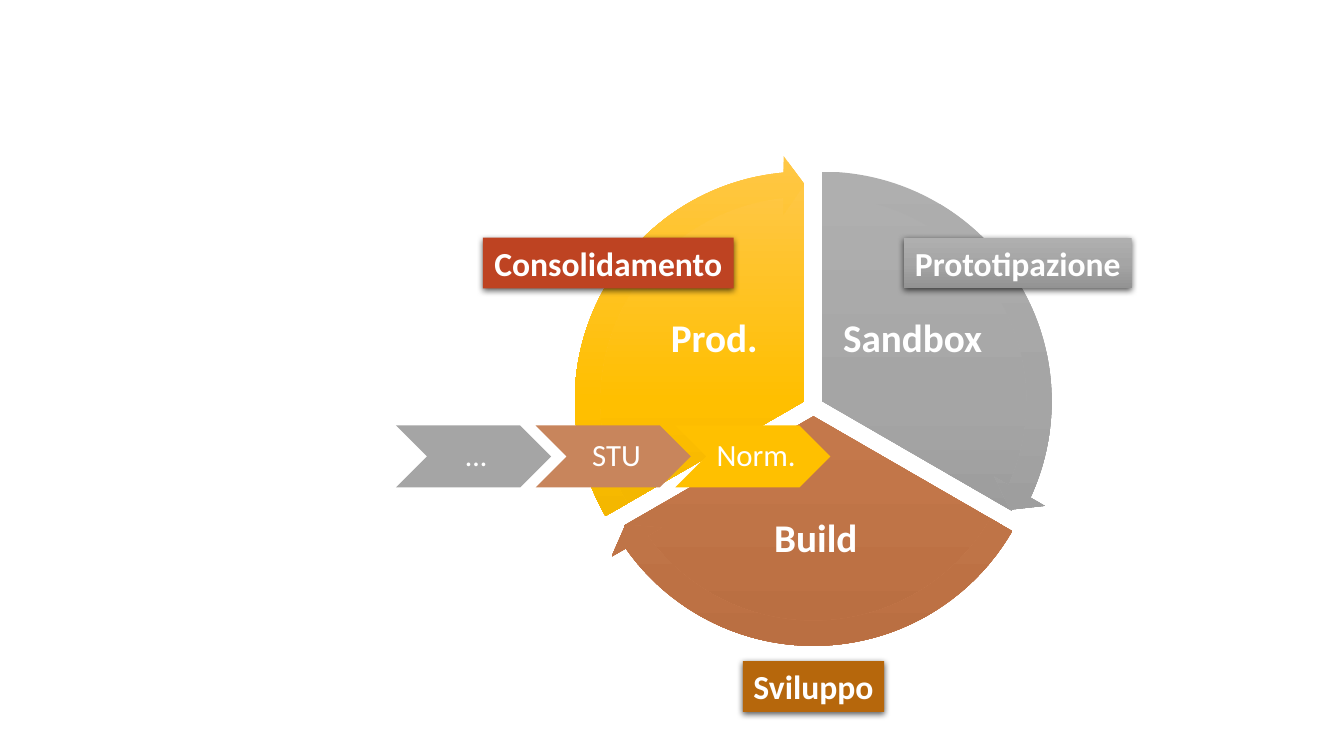
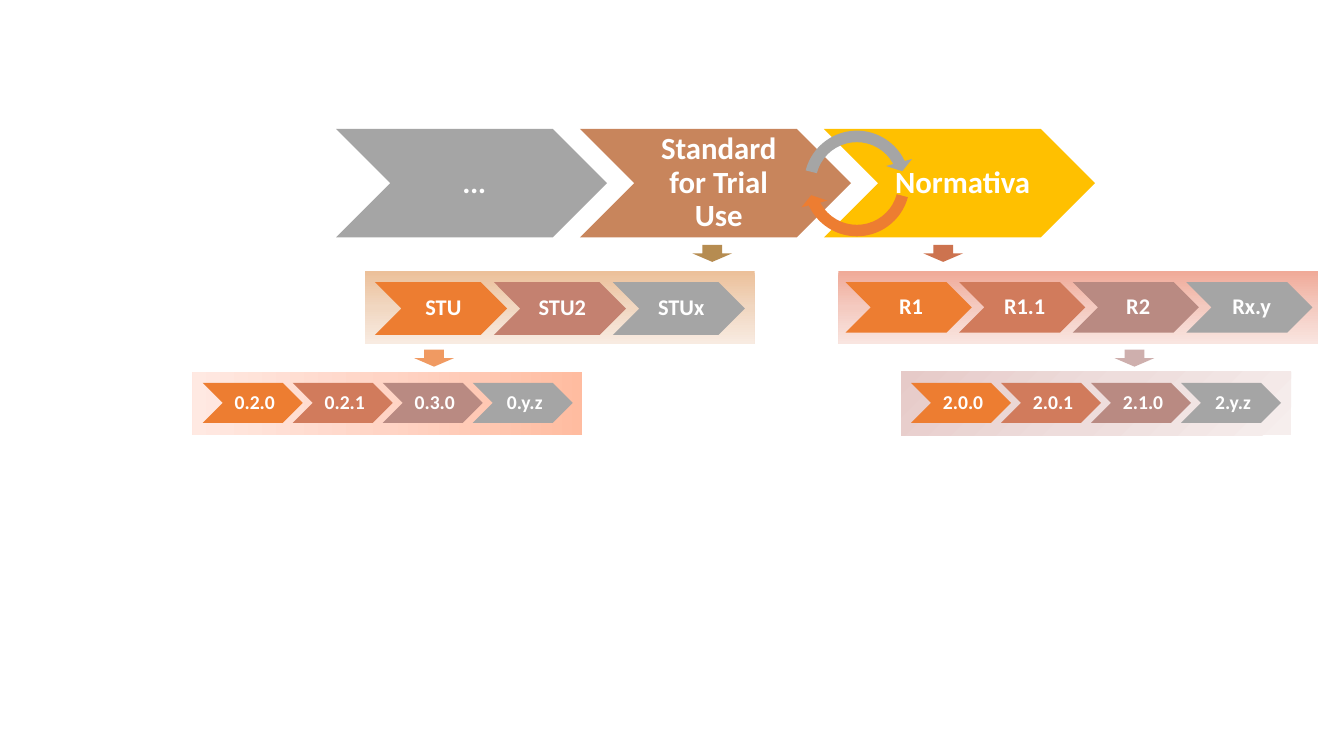
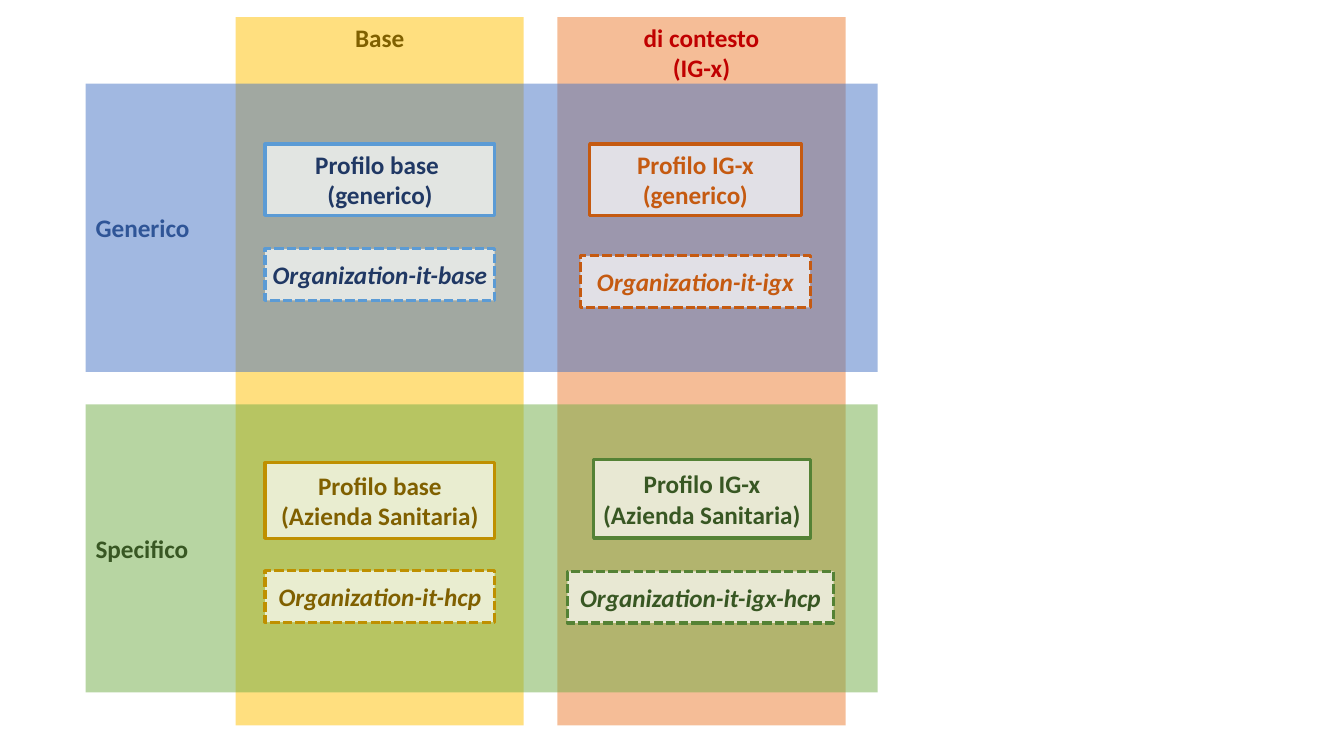
import pptx
import pptx.dml.color
import pptx.enum.dml
import pptx.enum.shapes
import pptx.enum.text
import pptx.oxml
import pptx.oxml.ns
import pptx.util

Cm = pptx.util.Cm
SHAPE = pptx.enum.shapes.MSO_SHAPE
ANCHOR = pptx.enum.text.MSO_ANCHOR
ALIGN = pptx.enum.text.PP_ALIGN

COLOURS = {
    "white": "FFFFFF", "grey": "A5A5A5", "copper": "C8855C", "gold": "FFC000",
    "orange": "ED7D31", "coral": "D17B5C", "rose": "C48170", "mauve": "B98A82",
    "brown": "B6670C", "brick": "BE4322", "blue": "4472C4", "green": "70AD47",
    "sky": "5B9BD5", "navy": "203864", "royal": "2F5597", "red": "C00000",
    "ochre": "BF9000", "olive": "806000", "leaf": "548235", "forest": "385723",
    "rust": "C55A11", "bronze": "B68C51", "terracotta": "CD734F",
    "apricot": "F09A62", "blush": "CEAFAD",
}
GREY_FADE = ("AFAFAF", "A5A5A5", "939393")
COPPER_FADE = ("CF8558", "C4784B", "BA6F42")
GOLD_FADE = ("FFC746", "FFBF00", "E5AC00")
DOWNWARD = '<a:lin ang="5400000" scaled="0"/>'
LEFTWARD = '<a:lin ang="10800000" scaled="0"/>'
FROM_CORNER = '<a:path path="circle"><a:fillToRect r="100000" b="100000"/></a:path>'


def element(xml):
    """Parse one drawing element whose tag lacks the namespace declaration."""
    tag, rest = xml.split(">", 1)
    return pptx.oxml.parse_xml(f'{tag} {pptx.oxml.ns.nsdecls("a")}>{rest}')


class Painter:
    """Holds the deck, the shared style and the current slide."""

    font_name = "Calibri"

    def __init__(self):
        self.deck = pptx.Presentation()
        self.deck.slide_width, self.deck.slide_height = Cm(33.87), Cm(19.05)
        self.page = None

    def new_page(self):
        self.page = self.deck.slides.add_slide(self.deck.slide_layouts[6])

    def colour(self, name):
        return pptx.dml.color.RGBColor.from_string(COLOURS[name])

    def shape(self, kind, place, fill, opacity=None, adjust=()):
        """Add a borderless, shadowless shape in a plain colour."""
        shape = self.page.shapes.add_shape(kind, *map(Cm, place))
        shape.shadow.inherit = False
        shape.line.fill.background()
        for index, value in enumerate(adjust):
            shape.adjustments[index] = value
        shape.fill.solid()
        shape.fill.fore_color.rgb = self.colour(fill)
        if opacity:
            solid = shape.element.spPr.find(pptx.oxml.ns.qn("a:solidFill"))
            solid[0].append(element(f'<a:alpha val="{opacity * 1000}"></a:alpha>'))
        return shape

    def faded(self, kind, place, fade, direction=DOWNWARD, adjust=()):
        """Add a shape with a three-stop gradient."""
        shape = self.shape(kind, place, "white", adjust=adjust)
        stops = "".join(f'<a:gs pos="{index * 50000}"><a:srgbClr val="{value}"/></a:gs>'
                        for index, value in enumerate(fade))
        properties = shape.element.spPr
        properties.replace(
            properties.find(pptx.oxml.ns.qn("a:solidFill")),
            element(f'<a:gradFill><a:gsLst>{stops}</a:gsLst>{direction}</a:gradFill>'))
        return shape

    def put_text(self, box, text, size, colour="white", bold=True, italic=False,
                 align=ALIGN.CENTER, spacing=None, **frame_format):
        frame = box.text_frame
        frame_format = {"word_wrap": True, "vertical_anchor": ANCHOR.MIDDLE, **frame_format}
        for name, value in frame_format.items():
            setattr(frame, name, value)
        font_format = {"name": self.font_name, "size": pptx.util.Pt(size),
                       "bold": bold, "italic": italic}
        for index, line in enumerate(text.split("\n")):
            para = frame.add_paragraph() if index else frame.paragraphs[0]
            para.alignment = align
            if spacing:
                para.line_spacing = spacing
            span = para.add_run()
            span.text = line
            for name, value in font_format.items():
                setattr(span.font, name, value)
            span.font.color.rgb = self.colour(colour)

    def label(self, text, place):
        box = self.page.shapes.add_textbox(*map(Cm, place))
        margins = {f"margin_{side}": Cm(0.1) for side in ("left", "top", "right", "bottom")}
        self.put_text(box, text, 28, spacing=0.9, **margins)

    def tag(self, box, text):
        """Turn a shape into a caption with a soft shadow below."""
        effects = box.element.spPr.find(pptx.oxml.ns.qn("a:effectLst"))
        effects.append(element(
            '<a:outerShdw blurRad="57150" dist="19050" dir="5400000" algn="ctr" rotWithShape="0">'
            '<a:srgbClr val="000000"><a:alpha val="63000"/></a:srgbClr></a:outerShdw>'))
        self.put_text(box, text, 24, word_wrap=False, vertical_anchor=ANCHOR.TOP)

    def chevrons(self, left, top, width, size, steps, bold=True):
        """Add a row of chevrons, each overlapping the last by a tenth."""
        margins = {f"margin_{side}": Cm(size / 270) for side in ("top", "right", "bottom")}
        margins["margin_left"] = Cm(size / 90)
        for index, (text, fill) in enumerate(steps):
            place = (left + index * width * 0.9, top, width, width * 0.4)
            chevron = self.shape(SHAPE.CHEVRON, place, fill)
            self.put_text(chevron, text, size, bold=bold, italic=text == "…",
                          spacing=0.9, **margins)

    def outlined(self, text, place, line, colour, dashed=False):
        box = self.shape(SHAPE.RECTANGLE, place, "white", 70)
        box.line.color.rgb = self.colour(line)
        box.line.width = pptx.util.Pt(2.25)
        if dashed:
            box.line.dash_style = pptx.enum.dml.MSO_LINE.SQUARE_DOT
        self.put_text(box, text, 18, colour, italic=dashed, word_wrap=False)


def cycle_page(painter):
    painter.new_page()
    sectors = [
        ("Sandbox", (15.21, 4.6), (162, 18), GREY_FADE,
         (21.03, 6.93, 3.94, 3.28), (14.725, 161.994)),
        ("Build", (14.99, 4.98), (18, 90), COPPER_FADE,
         (17.6, 12.14, 5.92, 2.9), (86.72, 18.005)),
        ("Prod.", (14.76, 4.6), (90, 162), GOLD_FADE,
         (16.03, 6.93, 3.94, 3.28), (158.73, 90)),
    ]
    for text, corner, angles, fade, text_place, _ in sectors:
        painter.faded(SHAPE.PIE, (*corner, 11.02, 11.02), fade, adjust=angles)
        painter.label(text, text_place)
    for _, (left, top), _, fade, _, (end, start) in sectors:
        painter.faded(SHAPE.CIRCULAR_ARROW, (left - 0.69, top - 0.69, 12.4, 12.4), fade,
                      adjust=(0.051, 3.275, end, start, 0.059))

    painter.tag(painter.faded(SHAPE.RECTANGLE, (22.78, 5.99, 5.74, 1.28), GREY_FADE),
                "Prototipazione")
    for text, place, fill in [("Sviluppo", (18.72, 16.66, 3.56, 1.28), "brown"),
                              ("Consolidamento", (12.17, 5.99, 6.32, 1.28), "brick")]:
        painter.tag(painter.shape(SHAPE.RECTANGLE, place, fill), text)
    painter.chevrons(9.98, 10.72, 3.91, 22,
                     [("…", "grey"), ("STU", "copper"), ("Norm.", "gold")], bold=False)


def versions_page(painter):
    painter.new_page()
    painter.chevrons(8.47, 3.25, 6.83, 22, [
        ("…", "grey"), ("Standard for Trial Use", "copper"), ("Normativa", "gold")])
    for fill, end, start in [("orange", 92.521, 9.035), ("grey", 200.119, 116.633)]:
        painter.shape(SHAPE.CIRCULAR_ARROW, (20.07, 3.1, 3.05, 3.05), fill,
                      adjust=(0.095, 6.846, end, start, 0.111))

    four = ("orange", "coral", "mauve", "grey")
    three = ("orange", "rose", "grey")
    panels = [
        ((21.13, 6.83, 12.09, 1.83), ("F0AA98", "F4CAC0", "F9E5E0"), DOWNWARD,
         (21.31, 7.11, 3.18, 16), ("R1", "R1.1", "R2", "Rx.y"), four),
        ((4.85, 9.37, 9.83, 1.6), ("FFBCA0", "FFD4C5", "FFE9E2"), LEFTWARD,
         (5.11, 9.65, 2.52, 14), ("0.2.0", "0.2.1", "0.3.0", "0.y.z"), four),
        ((9.19, 6.83, 9.83, 1.83), ("ECC099", "F1D7C1", "F8EBE1"), DOWNWARD,
         (9.45, 7.11, 3.33, 16), ("STU", "STU2", "STUx"), three),
        ((22.71, 9.37, 9.83, 1.6), ("E6CAC8", "EEDDDC", "F6EEED"), FROM_CORNER,
         (22.96, 9.65, 2.52, 14), ("2.0.0", "2.0.1", "2.1.0", "2.y.z"), four),
    ]
    for place, fade, direction, row, texts, fills in panels:
        painter.faded(SHAPE.RECTANGLE, place, fade, direction)
        painter.chevrons(*row, list(zip(texts, fills)))
    for left, top, fill in [(17.45, 6.17, "bronze"), (23.27, 6.17, "terracotta"),
                            (10.44, 8.81, "apricot"), (28.09, 8.81, "blush")]:
        painter.shape(SHAPE.DOWN_ARROW, (left, top, 1, 0.43), fill)


def profiles_page(painter):
    painter.new_page()
    for text, left, fill, colour in [("di contesto\n(IG-x)", 14.05, "orange", "red"),
                                     ("Base", 5.94, "gold", "olive")]:
        column = painter.shape(SHAPE.RECTANGLE, (left, 0.43, 7.26, 17.85), fill, 50)
        painter.put_text(column, text, 18, colour, vertical_anchor=ANCHOR.TOP)
    for text, top, fill, colour in [("Specifico", 10.19, "green", "forest"),
                                    ("Generico", 2.11, "blue", "royal")]:
        band = painter.shape(SHAPE.RECTANGLE, (2.16, top, 19.96, 7.26), fill, 50)
        painter.put_text(band, text, 18, colour, align=ALIGN.LEFT)

    profiles = [
        ("sky", "navy", "Profilo base \n(generico)", (6.68, 3.63, 5.79, 1.8),
         "Organization-it-base", (6.68, 6.27, 5.79, 1.3)),
        ("ochre", "olive", "Profilo base\n(Azienda Sanitaria)", (6.68, 11.66, 5.79, 1.91),
         "Organization-it-hcp", (6.68, 14.38, 5.79, 1.3)),
        ("leaf", "forest", "Profilo IG-x\n(Azienda Sanitaria)", (14.96, 11.58, 5.46, 1.98),
         "Organization-it-igx-hcp", (14.3, 14.4, 6.71, 1.3)),
        ("rust", "rust", "Profilo IG-x\n(generico)", (14.86, 3.63, 5.33, 1.8),
         "Organization-it-igx", (14.63, 6.45, 5.79, 1.3)),
    ]
    for line, colour, title, title_place, example, example_place in profiles:
        painter.outlined(title, title_place, line, colour)
        painter.outlined(example, example_place, line, colour, dashed=True)


def main():
    painter = Painter()
    cycle_page(painter)
    versions_page(painter)
    profiles_page(painter)
    painter.deck.save("out.pptx")


if __name__ == "__main__":
    main()
